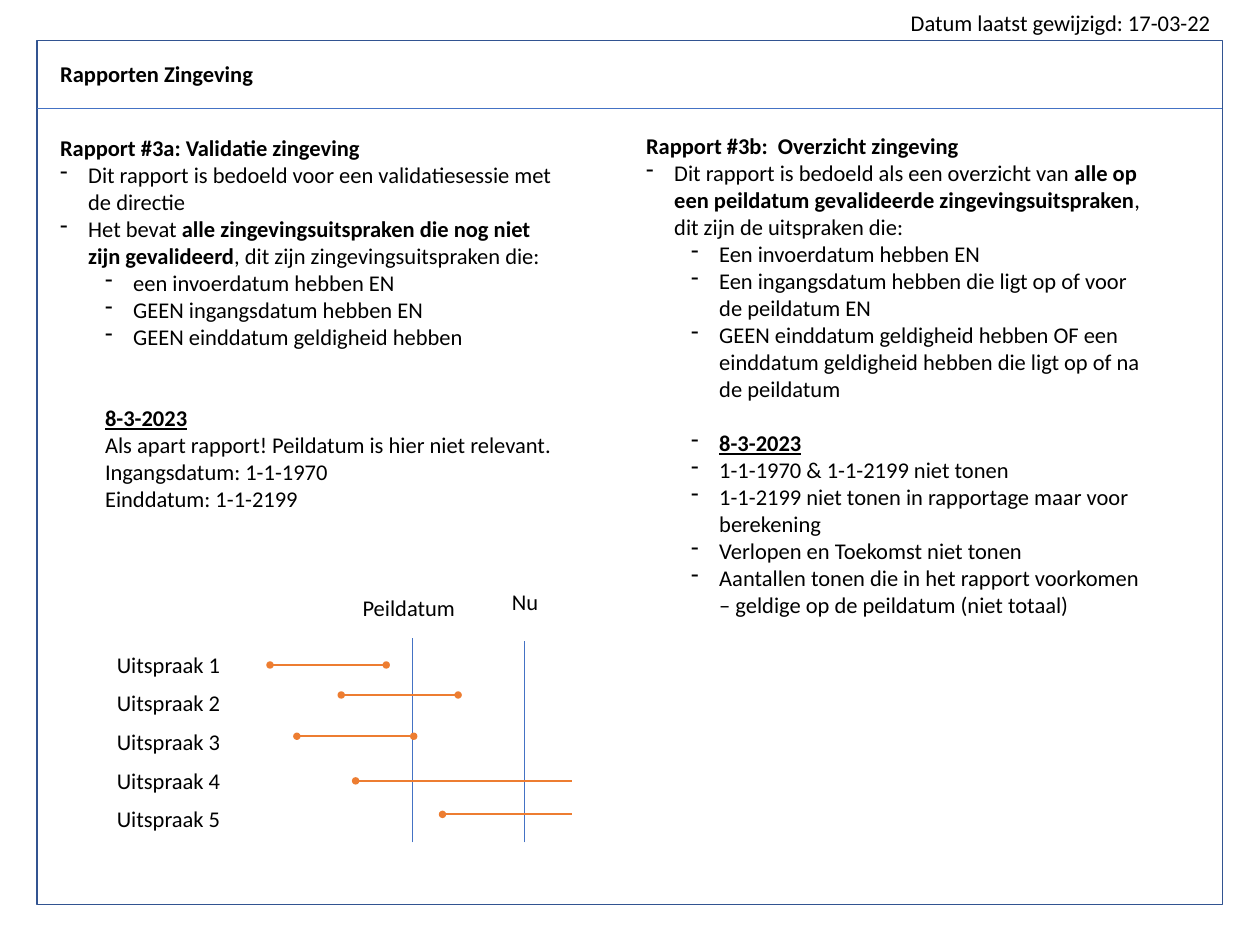
from dataclasses import dataclass

from lxml.etree import SubElement
from pptx import Presentation
from pptx.dml.color import RGBColor
from pptx.enum.shapes import MSO_CONNECTOR, MSO_SHAPE
from pptx.enum.text import MSO_ANCHOR, MSO_AUTO_SIZE, PP_ALIGN
from pptx.oxml.ns import qn
from pptx.util import Pt

BLACK = RGBColor(0x00, 0x00, 0x00)
FRAME_BLUE = RGBColor(0x32, 0x54, 0x91)
LINE_BLUE = RGBColor(0x44, 0x72, 0xC4)
ORANGE = RGBColor(0xED, 0x7D, 0x31)

FONT_NAME = "Calibri"
FONT_SIZE = 18
BLANK_LINE = 21.6
HANGING = 22.5
SUB_INDENT = 36


@dataclass
class Run:
    text: str
    bold: bool = False
    underline: bool = False


@dataclass
class Line:
    runs: list[Run]
    level: int = 0
    bullet: bool = False
    space_before: float = 0


@dataclass
class Period:
    """Validity of one statement; an open period has no end dot."""
    start: float
    end: float
    top: float
    is_open: bool = False


def heading(text: str) -> Line:
    return Line([Run(text, bold=True)])


def item(*runs: Run) -> Line:
    return Line(list(runs), bullet=True)


def sub_item(text: str) -> Line:
    return Line([Run(text)], level=1, bullet=True)


def sub_text(text: str) -> Line:
    return Line([Run(text)], level=1)


def date_line(blank_lines: int, bullet: bool = False) -> Line:
    return Line([Run("8-3-2023", bold=True, underline=True)], level=1,
                bullet=bullet, space_before=blank_lines * BLANK_LINE)


LEFT_REPORT = [
    heading("Rapport #3a: Validatie zingeving"),
    item(Run("Dit rapport is bedoeld voor een validatiesessie met de directie")),
    item(Run("Het bevat "),
         Run("alle zingevingsuitspraken die nog niet zijn gevalideerd", bold=True),
         Run(", dit zijn zingevingsuitspraken die:")),
    sub_item("een invoerdatum hebben EN"),
    sub_item("GEEN ingangsdatum hebben EN"),
    sub_item("GEEN einddatum geldigheid hebben"),
    date_line(blank_lines=2),
    sub_text("Als apart rapport! Peildatum is hier niet relevant."),
    sub_text("Ingangsdatum: 1-1-1970"),
    sub_text("Einddatum: 1-1-2199"),
]

RIGHT_REPORT = [
    heading("Rapport #3b:  Overzicht zingeving"),
    item(Run("Dit rapport is bedoeld als een overzicht van "),
         Run("alle op een peildatum gevalideerde zingevingsuitspraken", bold=True),
         Run(", dit zijn de uitspraken die:")),
    sub_item("Een invoerdatum hebben EN"),
    sub_item("Een ingangsdatum hebben die ligt op of voor de peildatum EN"),
    sub_item("GEEN einddatum geldigheid hebben OF een einddatum geldigheid "
             "hebben die ligt op of na de peildatum"),
    date_line(blank_lines=1, bullet=True),
    sub_item("1-1-1970 & 1-1-2199 niet tonen"),
    sub_item("1-1-2199 niet tonen in rapportage maar voor berekening"),
    sub_item("Verlopen en Toekomst niet tonen"),
    sub_item("Aantallen tonen die in het rapport voorkomen – geldige op de "
             "peildatum (niet totaal)"),
]

PERIODS = [
    Period(216, 309, 532),
    Period(273, 366.5, 556),
    Period(237.5, 331, 589),
    Period(284.5, 458, 624.7, is_open=True),
    Period(354, 458, 651.5, is_open=True),
]


def write_lines(text_frame, lines: list[Line]) -> None:
    text_frame.word_wrap = True
    text_frame.auto_size = MSO_AUTO_SIZE.NONE
    text_frame.vertical_anchor = MSO_ANCHOR.TOP
    for index, line in enumerate(lines):
        paragraph = text_frame.paragraphs[0] if index == 0 else text_frame.add_paragraph()
        paragraph.level = line.level
        paragraph.alignment = PP_ALIGN.LEFT
        paragraph.space_before = Pt(line.space_before)
        hanging = HANGING if line.bullet else 0
        properties = paragraph._p.get_or_add_pPr()
        properties.set("marL", str(Pt(line.level * SUB_INDENT + hanging)))
        properties.set("indent", str(Pt(-hanging)))
        if line.bullet:
            SubElement(properties, qn("a:buChar")).set("char", "-")
        for part in line.runs:
            run = paragraph.add_run()
            run.text = part.text
            run.font.name = FONT_NAME
            run.font.size = Pt(FONT_SIZE)
            run.font.bold = part.bold
            run.font.underline = part.underline
            run.font.color.rgb = BLACK


def add_text(slide, lines: list[Line], *, left: float, top: float,
             width: float, height: float = 29):
    box = slide.shapes.add_textbox(Pt(left), Pt(top), Pt(width), Pt(height))
    write_lines(box.text_frame, lines)
    return box


def add_line(slide, start: tuple[float, float], end: tuple[float, float], *,
             color: RGBColor, width: float, dots: tuple[str, ...] = ()) -> None:
    connector = slide.shapes.add_connector(
        MSO_CONNECTOR.STRAIGHT, Pt(start[0]), Pt(start[1]), Pt(end[0]), Pt(end[1]))
    connector.line.color.rgb = color
    connector.line.width = Pt(width)
    outline = connector.line._get_or_add_ln()
    for dot in dots:
        SubElement(outline, qn(f"a:{dot}")).set("type", "oval")
    SubElement(connector._element.spPr, qn("a:effectLst"))


def main() -> None:
    presentation = Presentation()
    presentation.slide_width = Pt(1008)
    presentation.slide_height = Pt(756)
    slide = presentation.slides.add_slide(presentation.slide_layouts[5])

    # Frame, title and date
    frame = slide.shapes.add_shape(MSO_SHAPE.RECTANGLE, Pt(29.5), Pt(32.4), Pt(948.5), Pt(691.2))
    frame.shadow.inherit = False
    frame.fill.background()
    frame.line.color.rgb = FRAME_BLUE
    frame.line.width = Pt(1)
    title = slide.shapes.title
    title.left, title.top, title.width, title.height = Pt(41), Pt(44.6), Pt(170), Pt(29)
    write_lines(title.text_frame, [heading("Rapporten Zingeving")])
    add_line(slide, (29.5, 86.4), (978, 86.4), color=LINE_BLUE, width=0.5)
    add_text(slide, [Line([Run("Datum laatst gewijzigd: 17-03-22")])],
             left=721.5, top=3.6, width=258)

    # Report descriptions
    add_text(slide, LEFT_REPORT, left=41, top=103.7, width=416, height=334)
    add_text(slide, RIGHT_REPORT, left=509.8, top=102.2, width=416, height=399.6)

    # Reference dates on the timeline
    for label, left, top, line_x, line_top in (
            ("Peildatum", 247, 471.6, 329.8, 510.5),
            ("Nu", 366.5, 466.6, 419.3, 512.6)):
        add_text(slide, [sub_text(label)], left=left, top=top, width=127.5)
        add_line(slide, (line_x, 674), (line_x, line_top), color=LINE_BLUE, width=0.5)

    # Statements and their validity periods
    for index, period in enumerate(PERIODS):
        add_text(slide, [sub_text(f"Uitspraak {index + 1}")],
                 left=50.4, top=517 + index * 30.9, width=144)
        add_line(slide, (period.start, period.top), (period.end, period.top),
                 color=ORANGE, width=1.75,
                 dots=("headEnd",) if period.is_open else ("headEnd", "tailEnd"))

    presentation.save("out.pptx")


if __name__ == "__main__":
    main()
